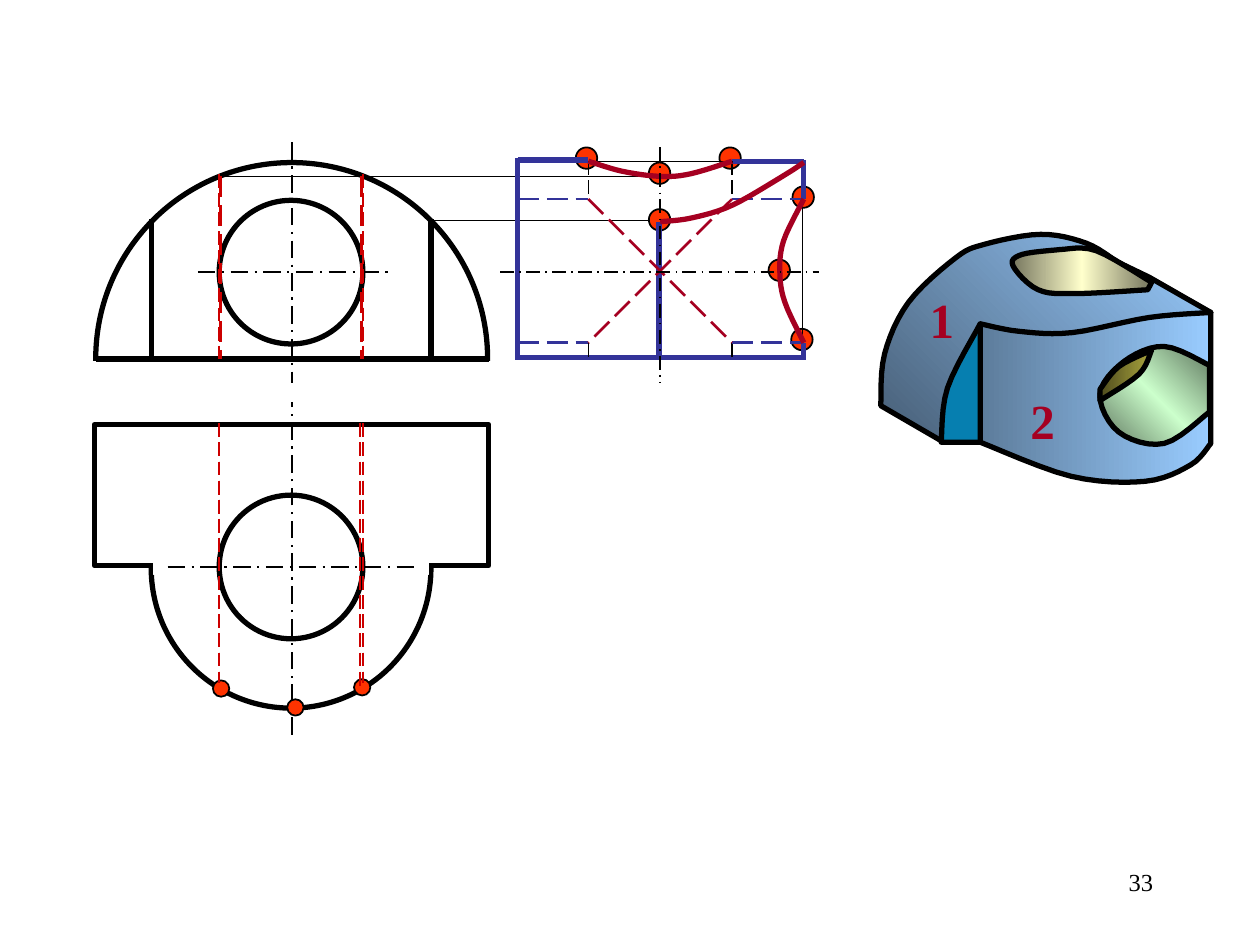
from copy import deepcopy

from lxml import etree
from pptx import Presentation
from pptx.dml.color import RGBColor
from pptx.enum.dml import MSO_LINE_DASH_STYLE as DASH
from pptx.enum.shapes import MSO_CONNECTOR, MSO_SHAPE
from pptx.enum.text import PP_ALIGN
from pptx.oxml.ns import qn
from pptx.util import Inches, Pt

BLACK, WHITE, BLUE = "000000", "FFFFFF", "333399"
RED, CRIMSON, ORANGE = "CC0000", "A50021", "FF3300"
SOLID, HIDDEN, AXIS = None, DASH.LONG_DASH, DASH.LONG_DASH_DOT
THICK, MEDIUM, THIN = 3, 1.5, 0.75
OVAL, BOX = MSO_SHAPE.OVAL, MSO_SHAPE.RECTANGLE
color = RGBColor.from_string

# Shared edges of the views
HOLE_LEFT, HOLE_RIGHT, HOLE_SIZE = 1.74, 2.88, 1.14
NECK_LEFT, NECK_RIGHT = 1.2, 3.42
FRONT_AXIS, BASE = 2.32, 2.85
SIDE_LEFT, SIDE_RIGHT, SIDE_TOP, SIDE_BASE = 4.11, 6.38, 1.28, 2.84
SIDE_AXIS, SIDE_MIDDLE = 5.24, 2.16
BORE_LEFT, BORE_RIGHT, BORE_TOP, BORE_BASE = 4.67, 5.81, 1.58, 2.72

presentation = Presentation()
presentation.slide_width, presentation.slide_height = Inches(10), Inches(7.5)
slide = presentation.slides.add_slide(presentation.slide_layouts[6])
shapes = slide.shapes


def draw_lines(line_color, width, dash, segments):
    for segment in segments:
        line = shapes.add_connector(MSO_CONNECTOR.STRAIGHT, *map(Inches, segment))
        line.line.color.rgb = color(line_color)
        line.line.width = Pt(width)
        if dash:
            line.line.dash_style = dash
        etree.SubElement(line._element.spPr, qn("a:effectLst"))


def draw_outline(strands, line_color, closed):
    """Join strands, each a smooth curve through its points, with straight edges."""
    points = []
    for strand in strands:
        points.append(strand[0])
        padded = [strand[0], *strand, strand[-1]]
        for quad in zip(padded, padded[1:], padded[2:], padded[3:]):
            for t in (step / 6 for step in range(1, 7)):
                points.append(tuple(
                    b + t * (c - a + t * (2 * a - 5 * b + 4 * c - d
                                          + t * (3 * b - 3 * c + d - a))) / 2
                    for a, b, c, d in zip(*quad)))
    points = [(Inches(x), Inches(y)) for x, y in points]
    builder = shapes.build_freeform(*points[0], scale=1.0)
    builder.add_line_segments(points[1:], close=closed)
    shape = builder.convert_to_shape()
    shape.shadow.inherit = False
    shape.fill.background()
    shape.line.color.rgb = color(line_color)
    shape.line.width = Pt(THICK)
    return shape


# Front and top views: outlines, white masks and holes
for kind, box, fill, line_color, width in [
    (OVAL, (0.76, 1.29, 3.11, 3.11), None, BLACK, THICK),
    (BOX, (0.49, 2.87, 3.53, 1.74), WHITE, WHITE, THIN),
    (OVAL, (HOLE_LEFT, 1.59, HOLE_SIZE, HOLE_SIZE), None, BLACK, THICK),
    (OVAL, (NECK_LEFT, 3.4, 2.22, 2.22), WHITE, BLACK, THICK),
    (BOX, (0.75, 3.37, 3.13, 1.12), WHITE, BLACK, THICK),
    (BOX, (1.22, 4.4, 2.18, 0.16), WHITE, WHITE, THIN),
    (OVAL, (HOLE_LEFT, 3.93, HOLE_SIZE, HOLE_SIZE), WHITE, BLACK, THICK),
]:
    shape = shapes.add_shape(kind, *map(Inches, box))
    shape.shadow.inherit = False
    if fill:
        shape.fill.solid()
        shape.fill.fore_color.rgb = color(fill)
    else:
        shape.fill.background()
    shape.line.color.rgb = color(line_color)
    shape.line.width = Pt(width)

draw_lines(BLACK, THICK, SOLID, [(0.76, BASE, 3.88, BASE)] + [
    (x, BASE, x, 1.74) for x in (NECK_LEFT, NECK_RIGHT)])
draw_lines(BLACK, 1.25, AXIS, [
    (FRONT_AXIS, 1.13, FRONT_AXIS, 3.04), (1.57, SIDE_MIDDLE, 3.12, SIDE_MIDDLE),
    (FRONT_AXIS, 5.83, FRONT_AXIS, 3.19), (1.33, 4.5, 3.29, 4.5)])
hole_edges = [(x, top, x, bottom) for x in (HOLE_LEFT, HOLE_RIGHT)
              for top, bottom in [(1.38, BASE), (3.36, 5.42)]]
draw_lines(BLACK, 1, HIDDEN, hole_edges)

# Solid model: gradient stops, angle and contour strands of each face
for stop_colors, angle, strands in [
    (["475E76", "99CCFF"], 45, [
        [(6.99, 3.22), (7.02, 2.81), (7.21, 2.4), (7.58, 2.05), (7.81, 1.94),
         (8.26, 1.86), (8.62, 1.93), (8.87, 2.08)],
        [(9.12, 2.2), (9.61, 2.48)], [(7.49, 3.51)]]),
    (["067FB0"], 0, [[(7.47, 3.51), (7.52, 3.08), (7.78, 2.57)], [(7.83, 3.51)]]),
    (["5D7C9B", "99CCFF"], 0, [
        [(7.78, 2.57), (8.09, 2.63), (8.51, 2.64), (9.12, 2.52), (9.61, 2.48)],
        [(9.61, 3.52), (9.45, 3.69), (9.09, 3.82), (8.5, 3.78), (7.78, 3.51)]]),
    (["76765E", "FFFFCC", "76765E"], 0, [
        [(8.42, 1.98), (8.11, 2.02), (8.04, 2.11), (8.24, 2.3), (8.54, 2.33), (9.11, 2.3)],
        [(9.14, 2.24), (8.7, 1.99), (8.42, 1.98)]]),
    (["5E765E", "CCFFCC", "5E765E"], 45, [
        [(9.6, 2.9), (9.24, 2.75), (8.92, 2.87), (8.73, 3.13), (8.88, 3.43),
         (9.24, 3.52), (9.6, 3.27)]]),
    (["4F4C1D", "AAA53E"], 0, [
        [(9.14, 2.78), (9.04, 2.97), (8.73, 3.18)],
        [(8.73, 3.09), (8.88, 2.91), (9.14, 2.78)]]),
]:
    fill = draw_outline(strands, BLACK, True).fill
    if len(stop_colors) == 1:
        fill.solid()
        fill.fore_color.rgb = color(stop_colors[0])
        continue
    fill.gradient()
    fill.gradient_angle = angle
    if len(stop_colors) == 3:
        first_stop = fill.gradient_stops[0]._gs
        first_stop.addnext(deepcopy(first_stop))
    for index, (stop, stop_color) in enumerate(zip(fill.gradient_stops, stop_colors)):
        stop.position = index / (len(stop_colors) - 1)
        stop.color.rgb = color(stop_color)

# Face numbers and slide number
for text, box, size, text_color, align in [
    ("1", (7.28, 2.25, 0.39, 0.57), 28, CRIMSON, PP_ALIGN.CENTER),
    ("2", (8.08, 3.05, 0.39, 0.57), 28, CRIMSON, PP_ALIGN.CENTER),
    ("33", (7.17, 6.83, 2.08, 0.5), 14, BLACK, PP_ALIGN.RIGHT),
]:
    is_slide_number = align == PP_ALIGN.RIGHT
    text_frame = shapes.add_textbox(*map(Inches, box)).text_frame
    text_frame.word_wrap = is_slide_number
    text_frame.text = text
    paragraph = text_frame.paragraphs[0]
    paragraph.alignment = align
    if is_slide_number:
        paragraph.space_before = Pt(8.8)
    font = paragraph.runs[0].font
    font.name, font.size, font.bold = "Times New Roman", Pt(size), not is_slide_number
    font.color.rgb = color(text_color)

# Projection lines and construction points
draw_lines(BLACK, THIN, SOLID, [
    (NECK_RIGHT, 1.75, SIDE_AXIS, 1.75), (HOLE_LEFT, 1.4, SIDE_AXIS, 1.4)])
side_points = [(5.15, 1.66), (5.15, 1.29), (5.71, 1.17), (4.57, 1.17),
               (6.1, 2.06), (6.29, 1.48), (6.28, 2.61)]
top_points = [(2.28, 5.55), (2.81, 5.39), (1.69, 5.4)]
for diameter, corners in [(0.17, side_points), (0.13, top_points)]:
    for left, top in corners:
        dot = shapes.add_shape(OVAL, *map(Inches, (left, top, diameter, diameter)))
        dot.shadow.inherit = False
        dot.fill.solid()
        dot.fill.fore_color.rgb = color(ORANGE)
        dot.line.color.rgb = color(BLACK)
        dot.line.width = Pt(1)

# Hidden hole edges in the front and top views
draw_lines(RED, MEDIUM, HIDDEN, [(x, 1.4, x, BASE) for x in (1.75, 2.87)])
draw_lines(RED, 1, HIDDEN, hole_edges + [(2.86, 3.36, 2.86, 5.47)])

# Side view
draw_lines(BLACK, THIN, SOLID, [
    (SIDE_LEFT, SIDE_TOP, SIDE_RIGHT, SIDE_TOP), (6.37, SIDE_TOP, 6.37, SIDE_BASE)])
draw_lines(BLUE, THICK, SOLID, [
    (SIDE_LEFT, 1.27, BORE_LEFT, 1.27), (BORE_RIGHT, SIDE_TOP, SIDE_RIGHT, SIDE_TOP),
    (SIDE_LEFT, SIDE_BASE, SIDE_RIGHT, SIDE_BASE), (SIDE_LEFT, 1.25, SIDE_LEFT, 2.86),
    (SIDE_RIGHT, 1.27, SIDE_RIGHT, BORE_TOP), (SIDE_RIGHT, BORE_BASE, SIDE_RIGHT, 2.86),
    (5.23, 1.76, 5.23, SIDE_BASE)])
draw_lines(BLACK, 1, HIDDEN, [
    (x, top, x, bottom) for x in (BORE_LEFT, BORE_RIGHT)
    for top, bottom in [(SIDE_TOP, BORE_TOP), (BORE_BASE, SIDE_BASE)]])
draw_lines(BLUE, MEDIUM, HIDDEN, [
    (left, y, right, y) for y in (BORE_TOP, BORE_BASE)
    for left, right in [(SIDE_LEFT, BORE_LEFT), (BORE_RIGHT, SIDE_RIGHT)]])

# Intersection curves
for curve in [
    [(SIDE_AXIS, 1.76), (5.49, 1.73), (5.81, 1.63), (6.21, 1.4), (SIDE_RIGHT, 1.29)],
    [(BORE_LEFT, SIDE_TOP), (4.94, 1.36), (SIDE_AXIS, 1.4), (5.48, 1.38),
     (BORE_RIGHT, SIDE_TOP)],
    [(SIDE_RIGHT, BORE_TOP), (6.22, 1.91), (6.19, SIDE_MIDDLE), (6.23, 2.4),
     (SIDE_RIGHT, BORE_BASE)],
]:
    draw_outline([curve], CRIMSON, False)

draw_lines(CRIMSON, MEDIUM, HIDDEN, [
    (BORE_RIGHT, BORE_TOP, BORE_LEFT, BORE_BASE),
    (BORE_LEFT, BORE_TOP, BORE_RIGHT, BORE_BASE)])
draw_lines(BLACK, 1, AXIS, [
    (3.97, SIDE_MIDDLE, 6.5, SIDE_MIDDLE), (SIDE_AXIS, 1.17, SIDE_AXIS, 3.04)])

presentation.save("out.pptx")
